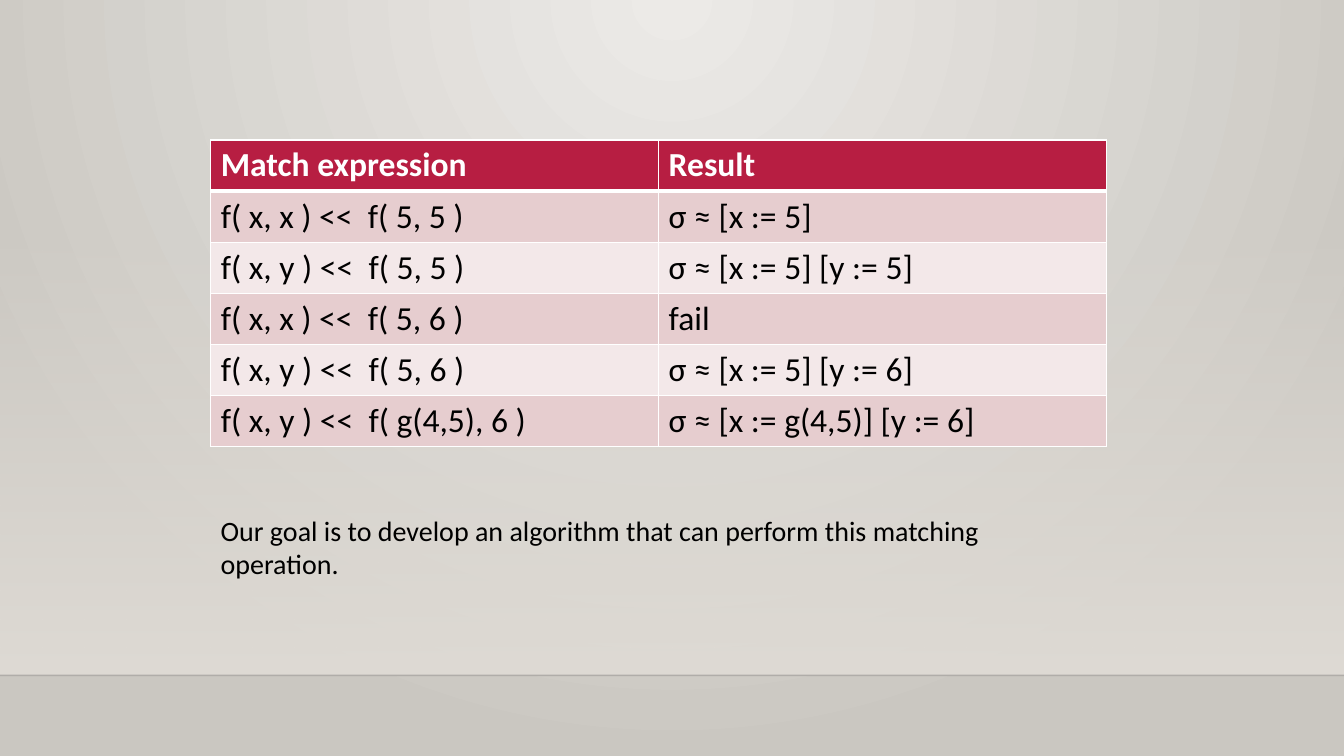
from dataclasses import dataclass

from lxml import etree
from pptx import Presentation
from pptx.dml.color import RGBColor
from pptx.enum.shapes import MSO_CONNECTOR, MSO_SHAPE
from pptx.enum.text import MSO_AUTO_SIZE
from pptx.oxml import parse_xml
from pptx.oxml.ns import nsdecls, qn
from pptx.util import Pt

RECTANGLE = MSO_SHAPE.RECTANGLE
STRAIGHT = MSO_CONNECTOR.STRAIGHT
FIT_SHAPE = MSO_AUTO_SIZE.SHAPE_TO_FIT_TEXT


@dataclass(frozen=True)
class Theme:
    font: str = "Calibri"
    table_size: int = 24
    note_size: int = 20
    text: str = "000000"
    white: str = "FFFFFF"
    header: str = "B71E42"
    bands: tuple = ("E6CDCF", "F3E8E9")
    glow: str = "ECEAE7"
    edge: str = "CAC7C1"
    wall: str = "DFDBD5"
    floor_line: str = "000001"


THEME = Theme()
WIDTH, HEIGHT = 960, 540
WALL_TOP, FLOOR = 159, 482.4
ROW_HEIGHT, COLUMN_WIDTH = 36, 320

MATCHES = [
    ("Match expression", "Result"),
    ("f( x, x ) <<  f( 5, 5 )", "σ ≈ [x := 5]"),
    ("f( x, y ) <<  f( 5, 5 )", "σ ≈ [x := 5] [y := 5]"),
    ("f( x, x ) <<  f( 5, 6 )", "fail"),
    ("f( x, y ) <<  f( 5, 6 )", "σ ≈ [x := 5] [y := 6]"),
    ("f( x, y ) <<  f( g(4,5), 6 )", "σ ≈ [x := g(4,5)] [y := 6]"),
]
GOAL = "Our goal is to develop an algorithm that can perform this matching\noperation."


def set_gradient(properties, start, end, direction, start_alpha=100):
    """Replace the solid fill in a properties element with a two-stop gradient."""
    gradient = parse_xml(
        f'<a:gradFill {nsdecls("a")} rotWithShape="1"><a:gsLst>'
        f'<a:gs pos="0"><a:srgbClr val="{start}">'
        f'<a:alpha val="{start_alpha * 1000}"/></a:srgbClr></a:gs>'
        f'<a:gs pos="100000"><a:srgbClr val="{end}"/></a:gs>'
        f"</a:gsLst>{direction}</a:gradFill>"
    )
    properties.replace(properties.find(qn("a:solidFill")), gradient)


def add_background(slide):
    slide.background.fill.solid()
    set_gradient(
        slide.element.find(".//" + qn("p:bgPr")), THEME.glow, THEME.edge,
        '<a:path path="circle">'
        '<a:fillToRect l="43000" t="0" r="43000" b="100000"/></a:path>',
    )


def add_wall(slide):
    wall = slide.shapes.add_shape(
        RECTANGLE, 0, Pt(WALL_TOP), Pt(WIDTH), Pt(FLOOR - WALL_TOP)
    )
    wall.shadow.inherit = False
    wall.line.fill.background()
    wall.fill.solid()
    set_gradient(
        wall.element.spPr, THEME.wall, THEME.wall,
        '<a:lin ang="5400000" scaled="0"/>', start_alpha=0,
    )


def add_floor_line(slide):
    line = slide.shapes.add_connector(STRAIGHT, 0, Pt(FLOOR), Pt(WIDTH), Pt(FLOOR))
    line.line.width = Pt(1)
    line.line.color.rgb = RGBColor.from_string(THEME.floor_line)
    properties = line.element.spPr
    color = properties.find(".//" + qn("a:srgbClr"))
    etree.SubElement(color, qn("a:alpha")).set("val", "20000")
    etree.SubElement(properties, qn("a:effectLst"))


def format_text(text_frame, size, color, bold=False):
    for paragraph in text_frame.paragraphs:
        for run in paragraph.runs:
            run.font.name = THEME.font
            run.font.size = Pt(size)
            run.font.bold = bold
            run.font.color.rgb = RGBColor.from_string(color)


def set_borders(cell, top, bottom):
    """Give a cell white borders; top and bottom are widths in points."""
    properties = cell._tc.get_or_add_tcPr()
    widths = {"lnL": 1, "lnR": 1, "lnT": top, "lnB": bottom}
    for index, (side, width) in enumerate(widths.items()):
        border = parse_xml(
            f'<a:{side} {nsdecls("a")} w="{Pt(width)}"><a:solidFill>'
            f'<a:srgbClr val="{THEME.white}"/></a:solidFill></a:{side}>'
        )
        properties.insert(index, border)


def add_match_table(slide):
    columns = len(MATCHES[0])
    table = slide.shapes.add_table(
        len(MATCHES), columns, Pt(150.5), Pt(100),
        Pt(COLUMN_WIDTH * columns), Pt(ROW_HEIGHT * len(MATCHES)),
    ).table
    for row_index, texts in enumerate(MATCHES):
        is_header = row_index == 0
        fill = THEME.header if is_header else THEME.bands[(row_index - 1) % 2]
        color = THEME.white if is_header else THEME.text
        for column_index, text in enumerate(texts):
            cell = table.cell(row_index, column_index)
            cell.text_frame.text = text
            format_text(cell.text_frame, THEME.table_size, color, is_header)
            cell.fill.solid()
            cell.fill.fore_color.rgb = RGBColor.from_string(fill)
            set_borders(cell, 3 if row_index == 1 else 1, 3 if is_header else 1)


def add_note(slide, text):
    note = slide.shapes.add_textbox(Pt(150.5), Pt(363), Pt(666), Pt(55.7))
    text_frame = note.text_frame
    text_frame.word_wrap = True
    text_frame.auto_size = FIT_SHAPE
    text_frame.text = text
    format_text(text_frame, THEME.note_size, THEME.text)


def main():
    presentation = Presentation()
    presentation.slide_width = Pt(WIDTH)
    presentation.slide_height = Pt(HEIGHT)
    slide = presentation.slides.add_slide(presentation.slide_layouts[6])
    add_background(slide)
    add_wall(slide)
    add_floor_line(slide)
    add_match_table(slide)
    add_note(slide, GOAL)
    presentation.save("out.pptx")


if __name__ == "__main__":
    main()
